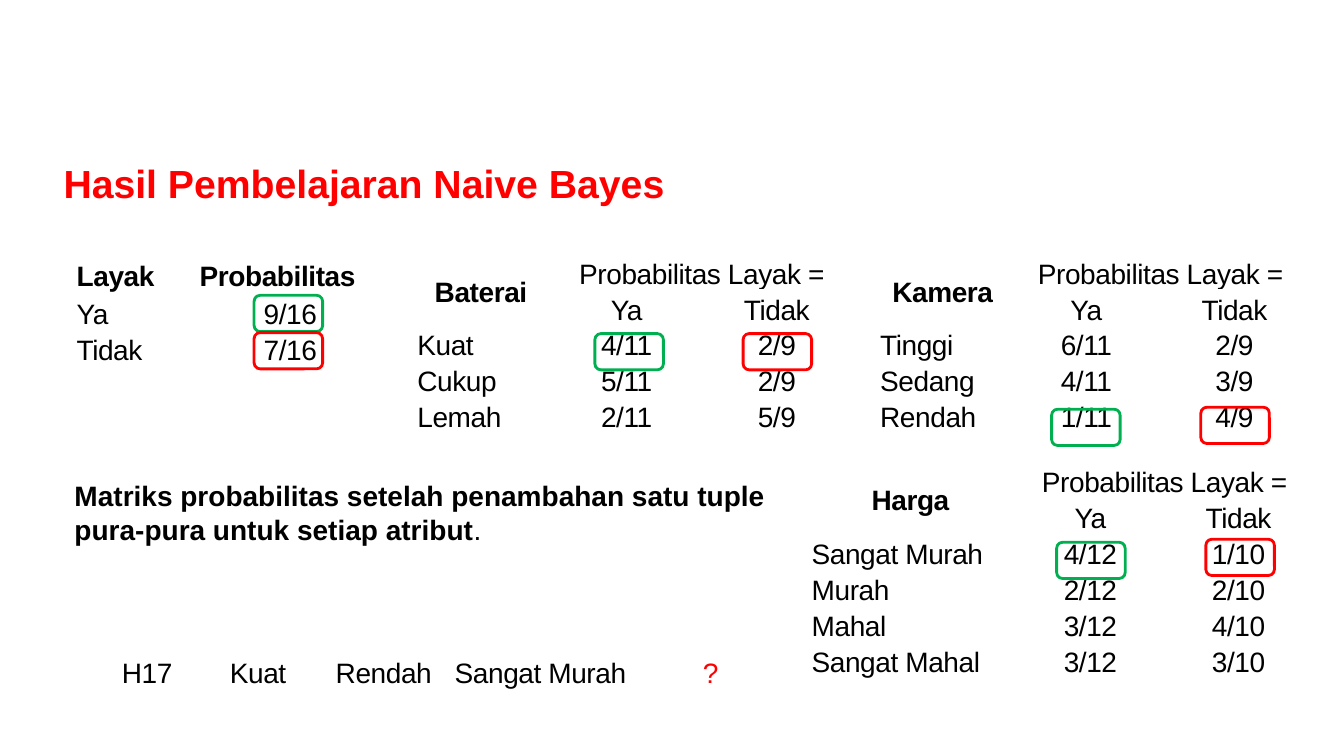
from pptx import Presentation
from pptx.dml.color import RGBColor as RGB
from pptx.enum.shapes import MSO_SHAPE as Shape
from pptx.enum.text import MSO_ANCHOR as Anchor, PP_ALIGN as Align
from pptx.util import Inches, Pt

COLORS = {"text": "000000", "red": "FF0000", "green": "00B050", "white": "FFFFFF"}


class NaiveBayesSlide:
    """Holds the style and the current slide."""
    font = "Arial"
    size = 20

    def __init__(self, deck):
        self.slide = deck.slides.add_slide(deck.slide_layouts[5])
        self.shapes = self.slide.shapes

    def run(self, paragraph, text, bold=False, color="text", size=None, spacing=None):
        run = paragraph.add_run()
        run.text = text
        run.font.name = self.font
        run.font.size = Pt(size or self.size)
        run.font.bold = bold
        run.font.color.rgb = RGB.from_string(COLORS[color])
        if spacing:
            run._r.get_or_add_rPr().set("spc", str(spacing))

    def title(self, text, left, top, width, height):
        title = self.shapes.title
        title.left, title.top = Inches(left), Inches(top)
        title.width, title.height = Inches(width), Inches(height)
        frame = title.text_frame
        frame.vertical_anchor = Anchor.MIDDLE
        frame.margin_left = frame.margin_right = Inches(0.1)
        frame.margin_top = frame.margin_bottom = Inches(0.1)
        frame.paragraphs[0].alignment = Align.LEFT
        self.run(frame.paragraphs[0], text, bold=True, color="red", size=28)

    def note(self, parts, left, top, width, height):
        box = self.shapes.add_textbox(Inches(left), Inches(top), Inches(width), Inches(height))
        box.text_frame.word_wrap = True
        for text, bold in parts:
            self.run(box.text_frame.paragraphs[0], text, bold)

    def cell(self, cell, text, align=Align.CENTER, bold=False, color="text"):
        cell.margin_left = cell.margin_right = Inches(0.07)
        cell.margin_top = cell.margin_bottom = 0
        paragraph = cell.text_frame.paragraphs[0]
        paragraph.alignment = align
        paragraph.line_spacing = 1.15
        self.run(paragraph, text, bold, color, spacing=-30)

    def grid(self, left, top, widths, heights):
        frame = self.shapes.add_table(
            len(heights), len(widths), Inches(left), Inches(top),
            Inches(sum(widths)), Inches(sum(heights)))
        table = frame.table
        table.first_row = table.horz_banding = False
        for column, width in zip(table.columns, widths):
            column.width = Inches(width)
        for row, height in zip(table.rows, heights):
            row.height = Inches(height)
        for cell in table.iter_cells():
            cell.fill.background()
        return table

    def prior_table(self, rows, left, top, widths, heights):
        table = self.grid(left, top, widths, heights)
        for r, row in enumerate(rows):
            for c, text in enumerate(row):
                centred = r > 0 and c > 0
                self.cell(table.cell(r, c), text,
                          Align.CENTER if centred else Align.LEFT, bold=r == 0)

    def attribute_table(self, attribute, rows, left, top, widths, row_height):
        table = self.grid(left, top, widths, [row_height] * (len(rows) + 2))
        # Two-level header
        table.cell(0, 0).merge(table.cell(1, 0))
        table.cell(0, 1).merge(table.cell(0, 2))
        table.cell(0, 0).vertical_anchor = Anchor.MIDDLE
        self.cell(table.cell(0, 0), attribute, bold=True)
        self.cell(table.cell(0, 1), "Probabilitas Layak =")
        self.cell(table.cell(1, 1), "Ya")
        self.cell(table.cell(1, 2), "Tidak")
        # Values
        for r, row in enumerate(rows, start=2):
            for c, text in enumerate(row):
                self.cell(table.cell(r, c), text, Align.CENTER if c else Align.JUSTIFY)

    def query_row(self, values, left, top, widths, height):
        table = self.grid(left, top, widths, [height])
        last = len(values) - 1
        for c, text in enumerate(values):
            cell = table.cell(0, c)
            cell.fill.solid()
            cell.fill.fore_color.rgb = RGB.from_string(COLORS["white"])
            self.cell(cell, text, Align.CENTER if c in (0, last) else Align.JUSTIFY,
                      color="red" if c == last else "text")

    def marker(self, left, top, color):
        marker = self.shapes.add_shape(
            Shape.ROUNDED_RECTANGLE, Inches(left), Inches(top), Inches(0.68), Inches(0.36))
        marker.shadow.inherit = False
        marker.fill.background()
        marker.line.color.rgb = RGB.from_string(COLORS[color])
        marker.line.width = Pt(2)


def main():
    deck = Presentation()
    deck.slide_width, deck.slide_height = Inches(13.33), Inches(7.5)
    page = NaiveBayesSlide(deck)
    page.title("Hasil Pembelajaran Naive Bayes", 0.53, 1.46, 12.14, 0.7)

    # Class and attribute probabilities
    page.prior_table([("Layak", "Probabilitas"), ("Ya", "9/16"), ("Tidak", "7/16")],
                     0.69, 2.54, [1.22, 1.94], [0.38, 0.23, 0.38])
    page.attribute_table(
        "Baterai",
        [("Kuat", "4/11", "2/9"), ("Cukup", "5/11", "2/9"), ("Lemah", "2/11", "5/9")],
        4.07, 2.52, [1.4, 1.49, 1.49], 0.35)
    page.attribute_table(
        "Kamera",
        [("Tinggi", "6/11", "2/9"), ("Sedang", "4/11", "3/9"), ("Rendah", "1/11", "4/9")],
        8.66, 2.52, [1.38, 1.47, 1.47], 0.35)
    page.attribute_table(
        "Harga",
        [("Sangat Murah", "4/12", "1/10"), ("Murah", "2/12", "2/10"),
         ("Mahal", "3/12", "4/10"), ("Sangat Mahal", "3/12", "3/10")],
        7.98, 4.59, [2.1, 1.47, 1.47], 0.31)

    # Tuple to classify
    page.query_row(["H17", "Kuat", "Rendah", "Sangat Murah", "?"],
                   0.71, 6.48, [1.5, 1.05, 1.18, 1.99, 1.24], 0.35)
    page.note([("Matriks probabilitas setelah penambahan satu tuple pura-pura "
                "untuk setiap atribut", True), (".", False)], 0.64, 4.7, 7.05, 0.77)

    # Markers on the probabilities used: green for Ya, red for Tidak
    markers = {
        "green": [(5.9, 3.31), (10.43, 4.06), (10.48, 5.38), (2.52, 2.93)],
        "red": [(7.37, 3.31), (11.91, 4.04), (11.96, 5.35), (2.52, 3.3)],
    }
    for color, places in markers.items():
        for left, top in places:
            page.marker(left, top, color)

    deck.save("out.pptx")


if __name__ == "__main__":
    main()
